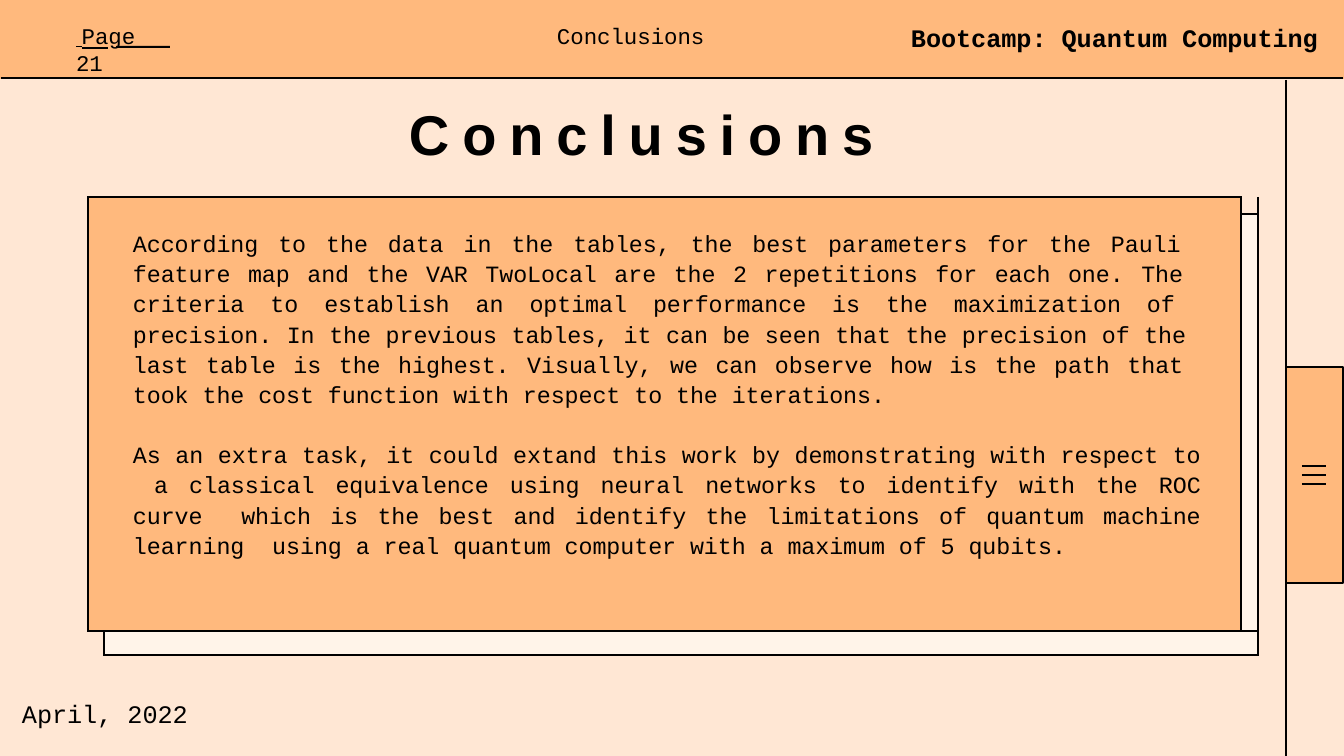
from lxml import etree
from pptx import Presentation
from pptx import util as u
from pptx.dml.color import RGBColor
from pptx.enum import shapes, text
from pptx.oxml.ns import qn

SCALE = 914400 / 67.2
WIDTH, HEIGHT = 1344, 756
BLACK = RGBColor(0, 0, 0)
ORANGE = RGBColor(0xFF, 0xB9, 0x7D)
PEACH = RGBColor(0xFF, 0xE7, 0xD4)
CREAM = RGBColor(0xFF, 0xF4, 0xE9)
NO_GRID = "{2D5ABB26-0587-4C30-8999-92F81FD0307C}"

BEST = (
    "According to the data in the tables, the best parameters for the Pauli  "
    "feature map and the VAR TwoLocal are the 2 repetitions for each one. The  "
    "criteria to establish an optimal performance is the maximization of  "
    "precision. In the previous tables, it can be seen that the precision of the  "
    "last table is the highest. Visually, we can observe how is the path that  "
    "took the cost function with respect to the iterations.")
EXTRA = (
    "As an extra task, it could extand this work by demonstrating with respect to  "
    "a classical equivalence using neural networks to identify with the ROC curve  "
    "which is the best and identify the limitations of quantum machine learning  "
    "using a real quantum computer with a maximum of 5 qubits.")


def px(*sizes):
    """Turn picture pixels into EMU."""
    return [u.Emu(round(size * SCALE)) for size in sizes]


def put(thing, values):
    """Set attributes from a dict."""
    for name, value in values.items():
        setattr(thing, name, value)


class Page:
    """The style and the current slide."""
    face = "Courier New"
    weight = 2.25

    def __init__(self, deck):
        """Add a blank slide."""
        self.slide = deck.slides.add_slide(deck.slide_layouts[6])

    def box(self, x, y, w, h, color, edge=False):
        """Draw a filled rectangle, with a black edge if asked."""
        shape = self.slide.shapes.add_shape(
            shapes.MSO_SHAPE.RECTANGLE, *px(x, y, w, h))
        shape.shadow.inherit = False
        shape.fill.solid()
        shape.fill.fore_color.rgb = color
        if edge:
            shape.line.color.rgb = BLACK
            shape.line.width = u.Pt(self.weight)
        else:
            shape.line.fill.background()

    def rule(self, x1, y1, x2, y2):
        """Draw a straight black line."""
        line = self.slide.shapes.add_connector(
            shapes.MSO_CONNECTOR.STRAIGHT, *px(x1, y1, x2, y2))
        line.line.color.rgb = BLACK
        line.line.width = u.Pt(self.weight)
        etree.SubElement(line._element.spPr, qn("a:effectLst"))

    def run(self, para, words, size, space=-0.05, **style):
        """Add a styled run with letter spacing in points."""
        run = para.add_run()
        run.text = words
        put(run.font, {"name": self.face, "size": u.Pt(size), **style})
        run.font.color.rgb = BLACK
        run._r.get_or_add_rPr().set("spc", str(round(space * 100)))

    def label(self, x, y, w, h, *runs):
        """Place a text box made of (words, size, style) runs."""
        frame = self.slide.shapes.add_textbox(*px(x, y, w, h)).text_frame
        put(frame, {"word_wrap": True, "margin_left": 0, "margin_right": 0,
                    "margin_top": u.Pt(1), "margin_bottom": 0})
        para = frame.paragraphs[0]
        para.space_before = u.Pt(1)
        for words, size, style in runs:
            self.run(para, words, size, **style)

    def cell(self, cell, color, sides):
        """Fill a cell and draw the named borders."""
        put(cell, {"margin_left": 0, "margin_right": 0,
                   "margin_top": 0, "margin_bottom": 0})
        props = cell._tc.get_or_add_tcPr()
        for side in sides:
            edge = etree.SubElement(props, qn("a:ln" + side),
                                    w=str(u.Pt(self.weight)))
            fill = etree.SubElement(edge, qn("a:solidFill"))
            etree.SubElement(fill, qn("a:srgbClr"), val=str(BLACK))
        cell.fill.solid()
        cell.fill.fore_color.rgb = color

    def panel(self, x, y, cols, rows, cells):
        """Add a table; cells holds rows of (fill, borders)."""
        frame = self.slide.shapes.add_table(
            len(rows), len(cols), *px(x, y, sum(cols), sum(rows)))
        table = frame.table
        put(table, {"first_row": False, "horz_banding": False})
        table._tbl.tblPr.find(qn("a:tableStyleId")).text = NO_GRID
        for col, width in zip(table.columns, px(*cols)):
            col.width = width
        for row, height in zip(table.rows, px(*rows)):
            row.height = height
        for r, line in enumerate(cells):
            for c, (color, sides) in enumerate(line):
                cell = table.cell(r, c)
                self.cell(cell, color, sides)
                para = cell.text_frame.paragraphs[0]
                etree.SubElement(para._p, qn("a:endParaRPr"), sz="600")
        return table

    def body(self, cell, paras, size, gap):
        """Write justified paragraphs into a cell, gap points apart."""
        left, right, top = px(29, 40, 15)
        put(cell, {"margin_left": left, "margin_right": right,
                   "margin_top": top})
        frame = cell.text_frame
        frame.clear()
        for i, words in enumerate(paras):
            para = frame.add_paragraph() if i else frame.paragraphs[0]
            put(para, {"alignment": text.PP_ALIGN.JUSTIFY,
                       "line_spacing": 1.15,
                       "space_before": u.Pt(gap if i else 0)})
            self.run(para, words, size)


deck = Presentation()
deck.slide_width, deck.slide_height = px(WIDTH, HEIGHT)
page = Page(deck)

# Ground, header band, side rail and menu tab
page.box(0, 79, WIDTH, HEIGHT - 79, PEACH)
page.box(0, 0, WIDTH, 79, ORANGE)
page.rule(1, 78, 1343, 78)
page.rule(1286, 80, 1286, HEIGHT)
page.box(1286, 367, 57, 216, ORANGE, edge=True)
for step in range(3):
    y = 466 + 9 * step
    page.rule(1302, y, 1326, y)
page.box(116, 46, 54, 2, BLACK)

# Headings and date
page.label(409, 99, 480, 69,
           ("Conclusions", 60, {"name": "Arial", "bold": True, "space": 13.8}))
page.label(22, 697, 168, 35, ("April, 2022", 27, {}))
page.label(76, 21, 96, 29,
           (" ", 24, {"name": "Times New Roman", "underline": True, "space": -6}),
           ("Pa", 24, {"underline": True}),
           ("ge 21", 24, {}))
page.label(911, 21, 415, 32, ("Bootcamp: Quantum Computing", 27, {"bold": True}))
page.label(557, 21, 150, 29, ("Conclusions", 24, {}))

# Text panel with its offset backing
panel = page.panel(88, 197, [16, 1137, 17], [17, 417, 24], [
    [(ORANGE, "LRT"), (ORANGE, "T"), (PEACH, "LB")],
    [(ORANGE, "LB"), (ORANGE, "RB"), (CREAM, "LRTB")],
    [(PEACH, "RT"), (CREAM, "LRTB"), (CREAM, "TB")]])
panel.cell(0, 0).merge(panel.cell(0, 1))
panel.cell(2, 1).merge(panel.cell(2, 2))
page.body(panel.cell(1, 1), [BEST, EXTRA], 25, 32)

deck.save("out.pptx")
